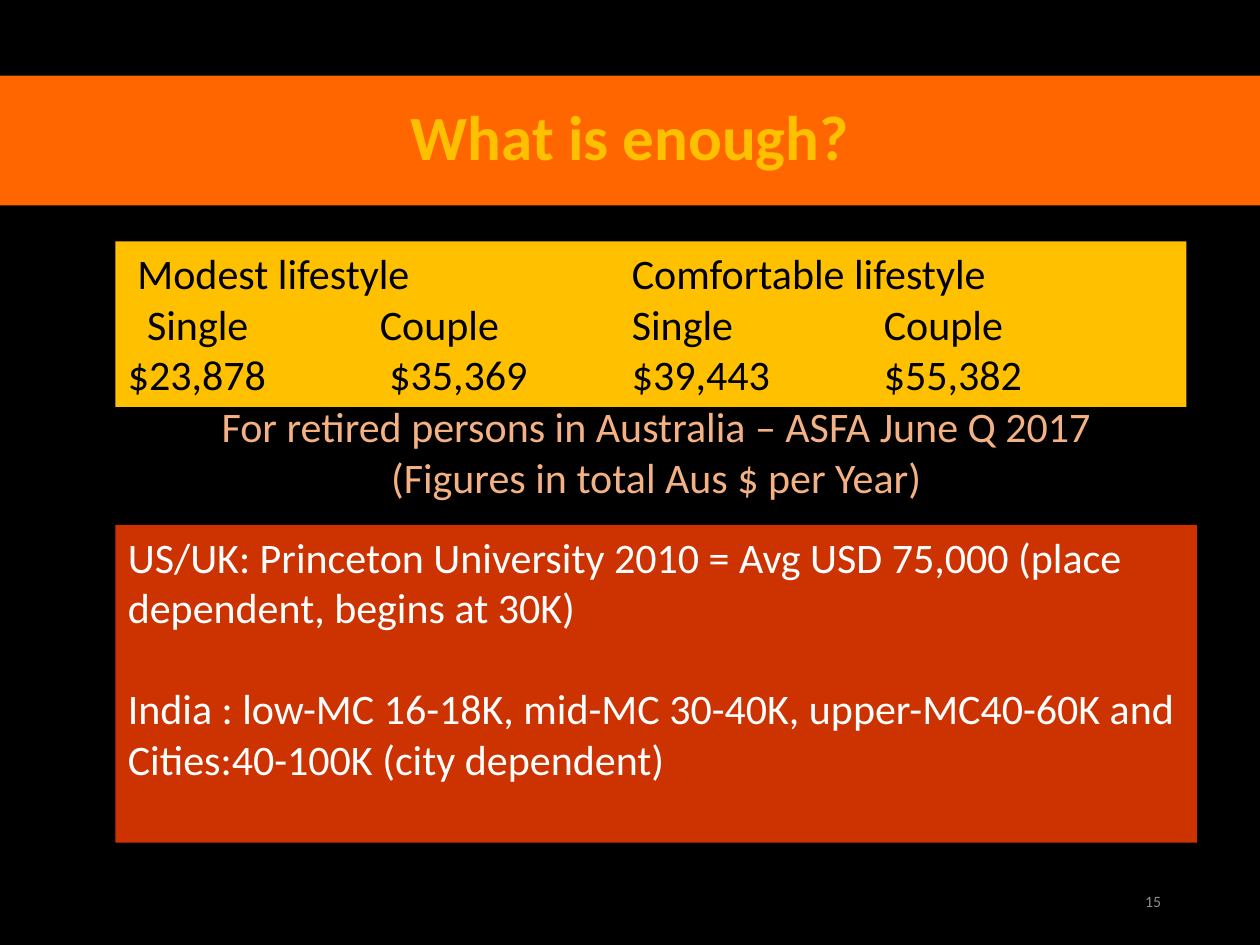
from dataclasses import dataclass

from lxml.etree import SubElement
from pptx import Presentation
from pptx.dml.color import RGBColor
from pptx.enum.shapes import MSO_SHAPE
from pptx.enum.text import MSO_ANCHOR, PP_ALIGN
from pptx.oxml.ns import qn
from pptx.util import Pt

COLORS = {
    "background": "000000", "orange": "FF6600", "gold": "FFC000",
    "red": "CC3300", "black": "000000", "white": "FFFFFF",
    "peach": "F4B183", "gray": "8C8C8C",
}
BODY_SIZE = 24
BLANK_LAYOUT = 6


@dataclass(frozen=True)
class Para:
    text: str
    tabs: tuple[float, ...] = ()
    fmt: tuple[tuple[str, object], ...] = ()


@dataclass(frozen=True)
class Box:
    left: float
    top: float
    width: float
    height: float
    color: str
    paras: tuple[Para, ...]
    fill: str | None = None
    size: float = BODY_SIZE
    bold: bool = False
    align: PP_ALIGN = PP_ALIGN.LEFT
    anchor: MSO_ANCHOR = MSO_ANCHOR.TOP


def rgb(name: str) -> RGBColor:
    return RGBColor.from_string(COLORS[name])


def set_attrs(obj, values: dict) -> None:
    for name, value in values.items():
        setattr(obj, name, value)


def add_tabs(p, stops: tuple[float, ...]) -> None:
    tab_list = SubElement(p._p.get_or_add_pPr(), qn("a:tabLst"))
    for stop in stops:
        SubElement(tab_list, qn("a:tab"), pos=str(Pt(stop)), algn="l")


def draw_box(s, box: Box) -> None:
    place = [Pt(v) for v in (box.left, box.top, box.width, box.height)]
    if box.fill:
        sp = s.shapes.add_shape(MSO_SHAPE.RECTANGLE, *place)
        sp.shadow.inherit = False
        sp.fill.solid()
        sp.fill.fore_color.rgb = rgb(box.fill)
        sp.line.fill.background()
    else:
        sp = s.shapes.add_textbox(*place)
    tf = sp.text_frame
    set_attrs(tf, {"word_wrap": True, "vertical_anchor": box.anchor})
    for i, para in enumerate(box.paras):
        p = tf.paragraphs[0] if i == 0 else tf.add_paragraph()
        set_attrs(p, {"alignment": box.align, **dict(para.fmt)})
        if para.tabs:
            add_tabs(p, para.tabs)
        r = p.add_run()
        r.text = para.text
        set_attrs(r.font, {"name": "Calibri", "size": Pt(box.size), "bold": box.bold})
        r.font.color.rgb = rgb(box.color)


# Lifestyle columns sit two inches apart
COL_2, COL_3, COL_4 = (144 * n for n in (1, 2, 3))

BOXES = [
    # Title band
    Box(0, 43.2, 720, 74.2, "gold",
        (Para("What is enough?", fmt=(("line_spacing", 0.9),)),),
        fill="orange", size=36, bold=True,
        align=PP_ALIGN.CENTER, anchor=MSO_ANCHOR.MIDDLE),
    # Retirement budgets
    Box(66, 138, 612, 94.5, "black", (
        Para("\tModest lifestyle\tComfortable lifestyle", (5.5, COL_3)),
        Para("\tSingle\tCouple\tSingle\tCouple", (11, COL_2, COL_3, COL_4)),
        Para("$23,878\t$35,369\t$39,443\t$55,382", (COL_2 + 5.5, COL_3, COL_4)),
    ), fill="gold"),
    # Other countries
    Box(66, 300, 618, 181.5, "white", (
        Para("US/UK: Princeton University 2010 = Avg USD 75,000 "
             "(place dependent, begins at 30K)"),
        Para("India : low-MC 16-18K, mid-MC 30-40K, upper-MC40-60K and "
             "Cities:40-100K (city dependent)",
             fmt=(("space_before", Pt(29)),)),
    ), fill="red"),
    # Source of the budgets
    Box(88.5, 225.5, 573, 65.5, "peach",
        (Para("For retired persons in Australia – ASFA June Q 2017 "
              "(Figures in total Aus $ per Year)"),),
        align=PP_ALIGN.CENTER),
    # Slide number
    Box(508.5, 500.5, 162, 28.8, "gray", (Para("15"),), size=9,
        align=PP_ALIGN.RIGHT, anchor=MSO_ANCHOR.MIDDLE),
]


def main() -> None:
    prs = Presentation()
    set_attrs(prs, {"slide_width": Pt(720), "slide_height": Pt(540)})
    s = prs.slides.add_slide(prs.slide_layouts[BLANK_LAYOUT])
    s.background.fill.solid()
    s.background.fill.fore_color.rgb = rgb("background")
    for box in BOXES:
        draw_box(s, box)
    prs.save("out.pptx")


if __name__ == "__main__":
    main()
